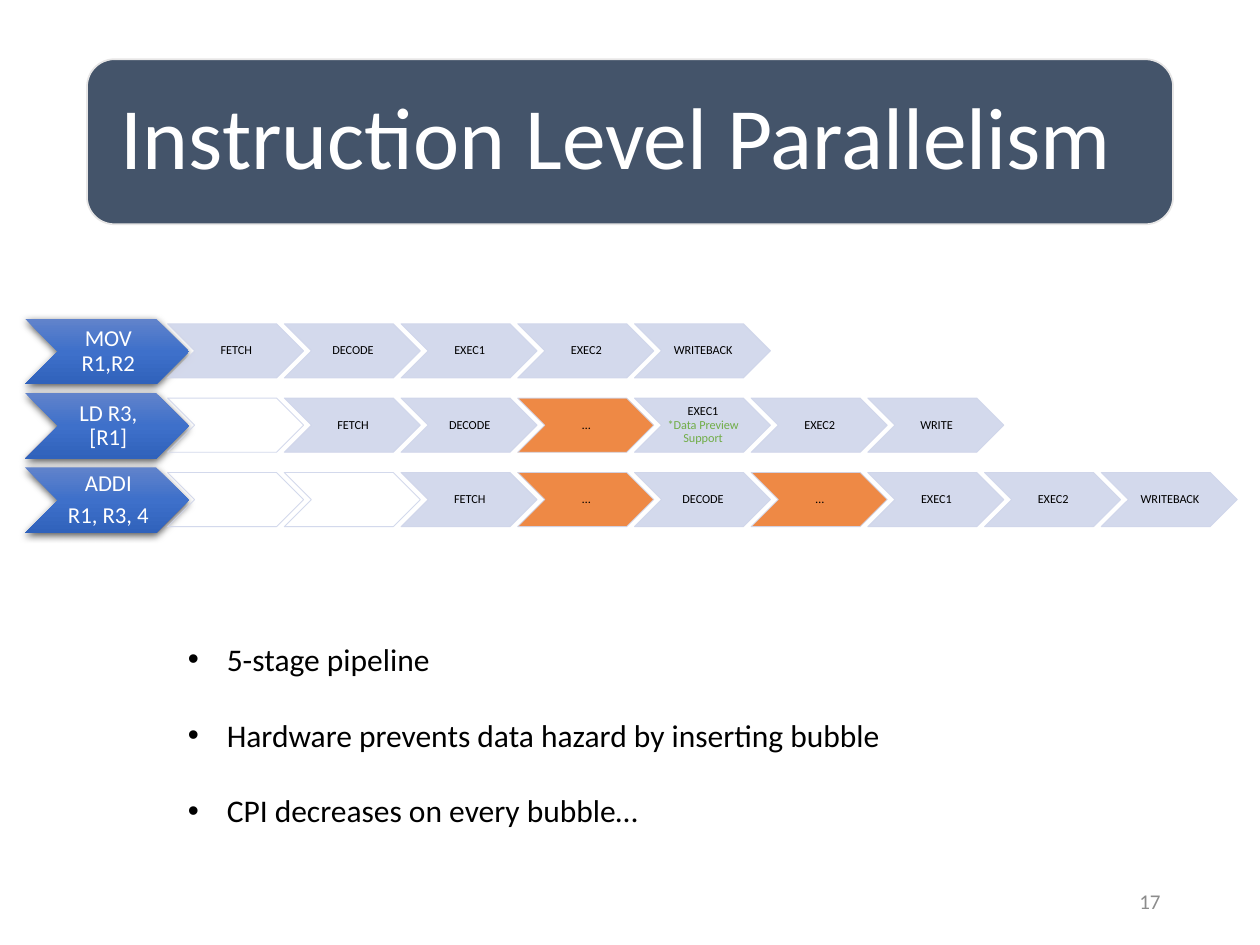
from pptx import Presentation, oxml
from pptx import util as u
from pptx.dml.color import RGBColor
from pptx.enum import shapes, text
from pptx.oxml import ns

SLATE = RGBColor(0x44, 0x54, 0x6A)
PALE = RGBColor(0xE7, 0xE6, 0xE6)
WHITE = RGBColor(0xFF, 0xFF, 0xFF)
BLACK = RGBColor(0, 0, 0)
GREY = RGBColor(0x8C, 0x8C, 0x8C)
LAVENDER = RGBColor(0xCF, 0xD5, 0xEA)
ORANGE = RGBColor(0xED, 0x7D, 0x31)
GREEN = RGBColor(0x70, 0xAD, 0x47)
BLUES = [
    (0, RGBColor(0x61, 0x83, 0xCB)),
    (50, RGBColor(0x3E, 0x70, 0xCA)),
    (100, RGBColor(0x30, 0x62, 0xBB)),
]

BUBBLE = "…"
PREVIEW = "EXEC1\v*Data Preview Support"
PIPELINE = [
    ("MOV R1,R2", ["FETCH", "DECODE", "EXEC1", "EXEC2", "WRITEBACK"]),
    ("LD R3,[R1]", ["", "FETCH", "DECODE", BUBBLE, PREVIEW, "EXEC2", "WRITE"]),
    ("ADDI\nR1, R3, 4", ["", "", "FETCH", BUBBLE, "DECODE", BUBBLE,
                         "EXEC1", "EXEC2", "WRITEBACK"]),
]
BULLETS = [
    "5-stage pipeline",
    "Hardware prevents data hazard by inserting bubble",
    "CPI decreases on every bubble…",
]
ROW_TOP, ROW_STEP = 2.53, 0.59
STAGE_LEFT, STAGE_STEP = 1.33, (8.74 - 1.33) / 8


def xml(markup):
    head, rest = markup.split(">", 1)
    return oxml.parse_xml(f"{head} {ns.nsdecls('a')}>{rest}")


class Deck:
    font = "Calibri"

    def __init__(self, prs):
        self.s = prs.slides.add_slide(prs.slide_layouts[1])

    def place(self, sp, box):
        sp.left, sp.top, sp.width, sp.height = (u.Inches(v) for v in box)

    def label(self, sp, words, size, color, align, insets=(0.1, 0.05, 0.1, 0.05),
              anchor=text.MSO_ANCHOR.MIDDLE, spacing=1.0, after=0.0):
        tf = sp.text_frame
        tf.text = words
        tf.word_wrap = True
        tf.auto_size = text.MSO_AUTO_SIZE.NONE
        tf.vertical_anchor = anchor
        tf.margin_left, tf.margin_top, tf.margin_right, tf.margin_bottom = (
            u.Inches(v) for v in insets)
        for p in tf.paragraphs:
            p.alignment = align
            p.line_spacing = spacing
            p.space_before = u.Pt(0)
            p.space_after = u.Pt(round(size * after, 2))
            for r in p.runs:
                r.font.name = self.font
                r.font.size = u.Pt(size)
                r.font.color.rgb = color
        return tf

    def shape(self, kind, box):
        sp = self.s.shapes.add_shape(kind, *(u.Inches(v) for v in box))
        sp.shadow.inherit = False
        return sp

    def title(self, words):
        panel = self.shape(shapes.MSO_SHAPE.ROUNDED_RECTANGLE, (0.69, 0.47, 8.62, 1.31))
        panel.fill.solid()
        panel.fill.fore_color.rgb = SLATE
        panel.line.color.rgb = PALE
        panel.line.width = u.Pt(1)
        sp = self.s.shapes.title
        sp._element.addprevious(panel._element)
        self.place(sp, (0.75, 0.53, 8.5, 1.18))
        self.label(sp, words, 50, WHITE, text.PP_ALIGN.LEFT, (0.21,) * 4, spacing=0.9)

    def instruction(self, words, top):
        sp = self.shape(shapes.MSO_SHAPE.CHEVRON, (0.2, top, 1.3, 0.52))
        sp.line.fill.background()
        stops = "".join(f'<a:gs pos="{pos * 1000}"><a:srgbClr val="{color}"/></a:gs>'
                        for pos, color in BLUES)
        props = sp._element.spPr
        props.find(ns.qn("a:prstGeom")).addnext(xml(
            f'<a:gradFill><a:gsLst>{stops}</a:gsLst><a:lin ang="5400000"/></a:gradFill>'))
        props.find(ns.qn("a:effectLst")).append(xml(
            f'<a:outerShdw blurRad="{u.Pt(4.5)}" dist="{u.Pt(1.5)}" dir="5400000">'
            '<a:srgbClr val="000000"><a:alpha val="63000"/></a:srgbClr></a:outerShdw>'))
        self.label(sp, words, 13, WHITE, text.PP_ALIGN.CENTER,
                   (0.02, 0.01, 0, 0.01), spacing=0.9, after=0.35)

    def stage(self, words, left, top):
        sp = self.shape(shapes.MSO_SHAPE.CHEVRON, (left, top, 1.08, 0.43))
        sp.line.color.rgb = LAVENDER
        sp.line.width = u.Pt(0.5)
        if words:
            sp.fill.solid()
            sp.fill.fore_color.rgb = ORANGE if words == BUBBLE else LAVENDER
            tf = self.label(sp, words, 7, BLACK, text.PP_ALIGN.CENTER,
                            (0.01, 0, 0, 0), spacing=0.9, after=0.35)
            for r in tf.paragraphs[0].runs[1:]:
                r.font.color.rgb = GREEN
        else:
            sp.fill.background()
        for color in sp._element.spPr.iter(ns.qn("a:srgbClr")):
            color.append(xml('<a:alpha val="90000"></a:alpha>'))

    def bullets(self, items):
        sp = self.s.placeholders[1]
        self.place(sp, (1.39, 4.73, 7.22, 1.83))
        tf = self.label(sp, "\n".join(items), 18, BLACK, text.PP_ALIGN.LEFT,
                        anchor=text.MSO_ANCHOR.TOP, spacing=2.0)
        for p in tf.paragraphs:
            props = p._p.get_or_add_pPr()
            props.set("marL", str(u.Inches(0.31)))
            props.set("indent", str(-u.Inches(0.31)))
            props.append(xml('<a:buFont typeface="Arial"></a:buFont>'))
            props.append(xml('<a:buChar char="•"></a:buChar>'))

    def page_number(self, words):
        box = (7.06, 6.95, 2.25, 0.4)
        sp = self.s.shapes.add_textbox(*(u.Inches(v) for v in box))
        self.label(sp, words, 12, GREY, text.PP_ALIGN.RIGHT)


def main():
    prs = Presentation()
    prs.slide_width, prs.slide_height = u.Inches(10), u.Inches(7.5)
    deck = Deck(prs)
    deck.title("Instruction Level Parallelism")
    for row, (name, stages) in enumerate(PIPELINE):
        top = ROW_TOP + row * ROW_STEP
        deck.instruction(name, top)
        for col, stage in enumerate(stages):
            deck.stage(stage, STAGE_LEFT + col * STAGE_STEP, top + 0.04)
    deck.bullets(BULLETS)
    deck.page_number("17")
    prs.save("out.pptx")


if __name__ == "__main__":
    main()
